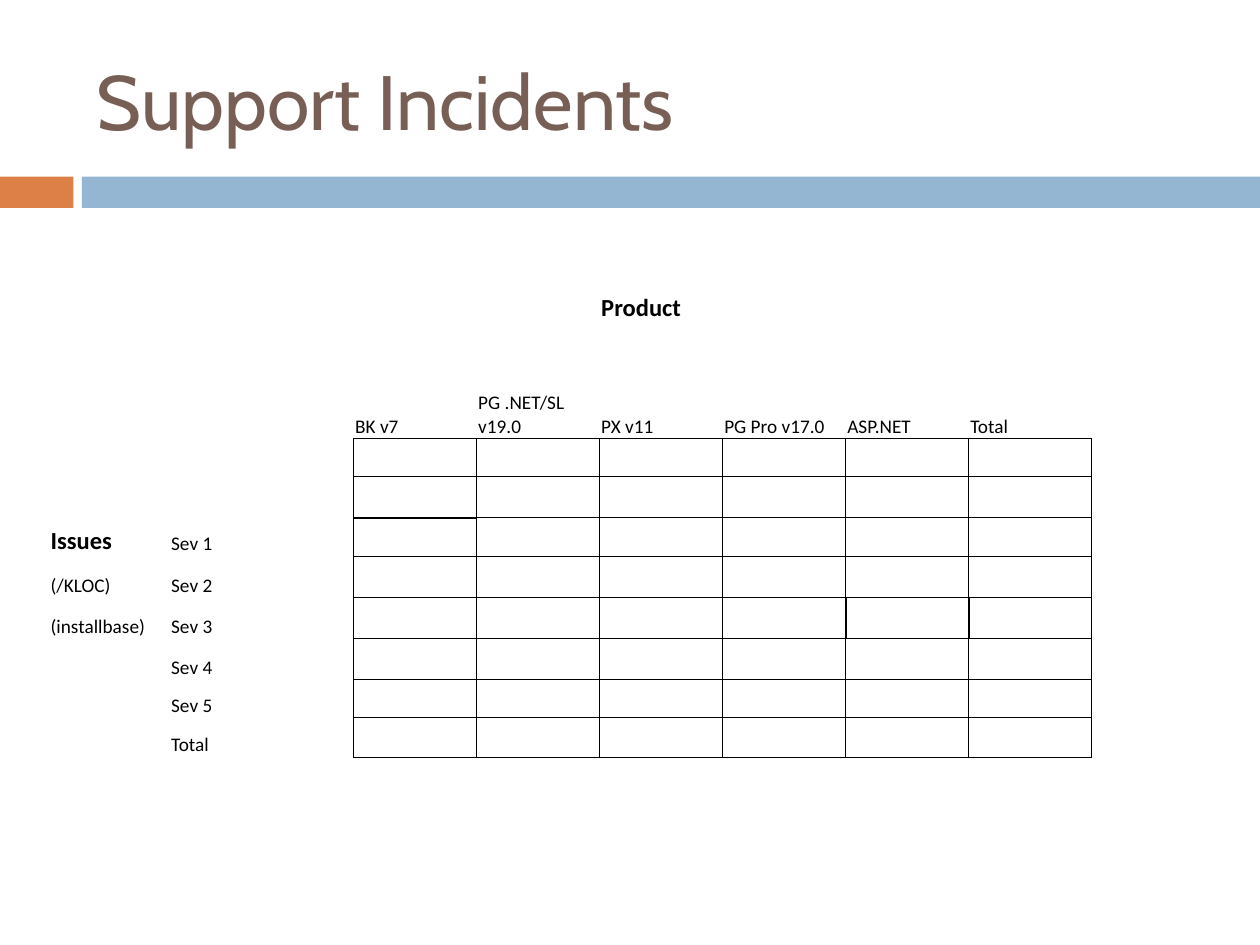
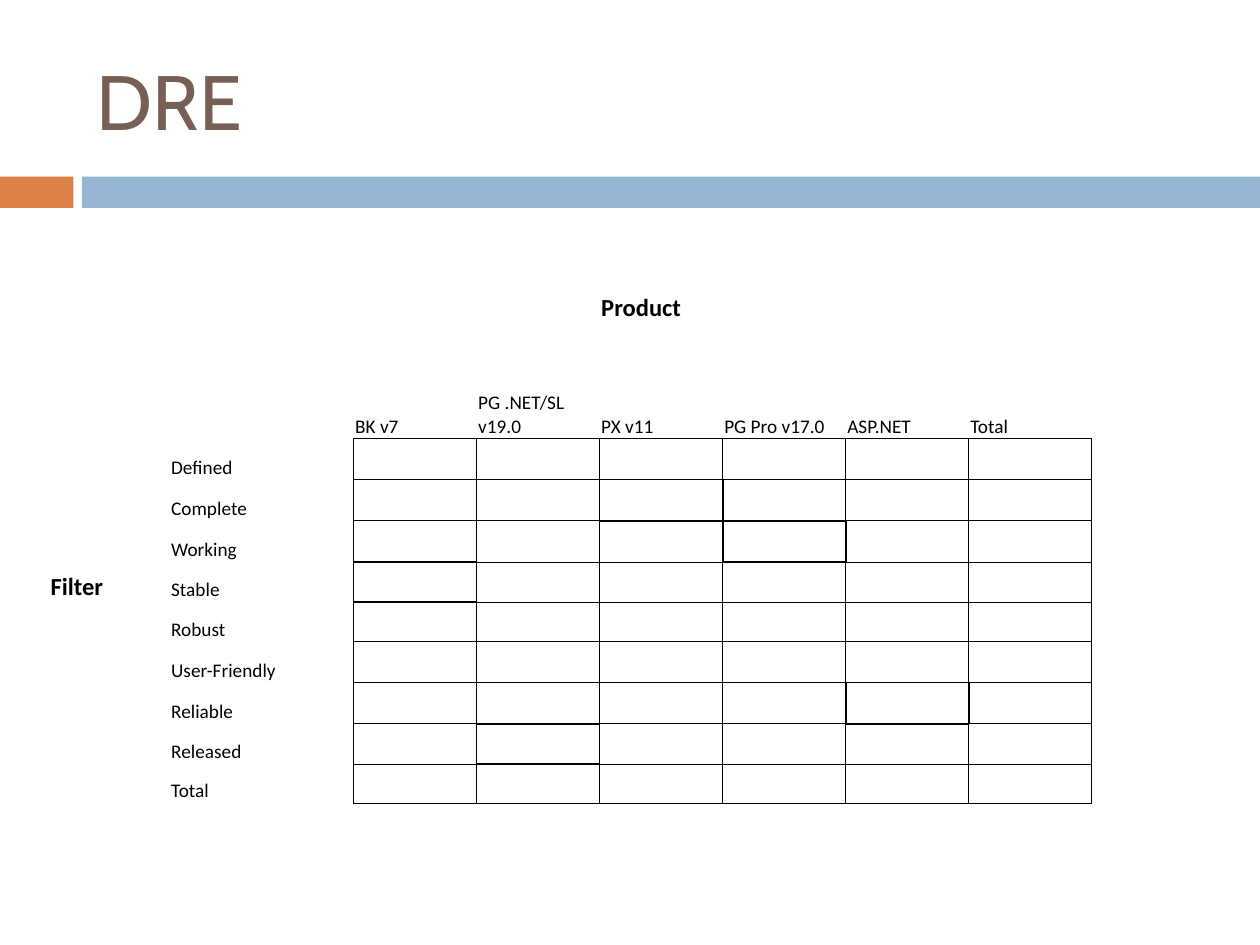
from dataclasses import dataclass

from lxml import etree
from pptx import Presentation
from pptx.dml.color import RGBColor
from pptx.enum import shapes, text
from pptx.oxml import ns
from pptx.util import Cm, Pt


@dataclass(frozen=True)
class Theme:
    title_color: RGBColor = RGBColor(0x77, 0x5F, 0x55)
    accent: RGBColor = RGBColor(0xDD, 0x80, 0x47)
    band: RGBColor = RGBColor(0x94, 0xB6, 0xD2)
    ink: RGBColor = RGBColor(0, 0, 0)
    title_font: str = "Cabin"
    table_font: str = "Calibri"
    title_size: int = 44
    heading_size: int = 14
    label_size: int = 11
    thin: float = 0.5
    thick: float = 1


THEME = Theme()

# Table layout: two label columns, six product columns, one spare column
PRODUCTS = ["BK v7", "PG .NET/SL v19.0", "PX v11", "PG Pro v17.0", "ASP.NET", "Total"]
COLUMN_WIDTHS = [2.43, 3.71] + [2.48] * 7
HEADER_HEIGHTS = [0.79, 0.79, 2.33]
SPARE_HEIGHT = 0.79
FIRST_ROW, FIRST_COL = len(HEADER_HEIGHTS), 2
PRODUCT_HEADING = (1, 4)

# Body rows: (side heading, row label, height in cm)
INCIDENT_ROWS = [
    ("", "", 0.77), ("", "", 0.83),
    ("Issues", "Sev 1", 0.77), ("(/KLOC)", "Sev 2", 0.83),
    ("(installbase)", "Sev 3", 0.83), ("", "Sev 4", 0.83),
    ("", "Sev 5", 0.77), ("", "Total", 0.79),
]
FILTER_ROWS = [
    ("", "Defined", 0.83), ("", "Complete", 0.83), ("", "Working", 0.83),
    ("Filter", "Stable", 0.81), ("", "Robust", 0.79),
    ("", "User-Friendly", 0.83), ("", "Reliable", 0.83),
    ("", "Released", 0.81), ("", "Total", 0.79),
]
SIDE_HEADINGS = {"Issues", "Filter"}


def style_run(run, font, size, color, bold=False):
    run.font.name = font
    run.font.size = Pt(size)
    run.font.color.rgb = color
    run.font.bold = bold


def add_bar(slide, left, width, color):
    bar = slide.shapes.add_shape(
        shapes.MSO_SHAPE.RECTANGLE, Cm(left), Cm(3.56), Cm(width), Cm(0.63))
    bar.shadow.inherit = False
    bar.fill.solid()
    bar.fill.fore_color.rgb = color
    bar.line.fill.background()


def add_title(slide, wording):
    title = slide.shapes.add_textbox(Cm(1.7), Cm(0.64), Cm(22.66), Cm(2.74))
    frame = title.text_frame
    frame.word_wrap = True
    frame.vertical_anchor = text.MSO_ANCHOR.MIDDLE
    frame.text = wording
    style_run(frame.paragraphs[0].runs[0], THEME.title_font,
              THEME.title_size, THEME.title_color)


def add_base_slide(deck, wording):
    slide = deck.slides.add_slide(deck.slide_layouts[6])
    add_bar(slide, 0, 1.48, THEME.accent)
    add_bar(slide, 1.65, 23.75, THEME.band)
    add_title(slide, wording)
    return slide


def cell_edges(row, col):
    """Keys of a cell's four edges; neighbours share the same key."""
    return {"L": ("v", row, col), "R": ("v", row, col + 1),
            "T": ("h", row, col), "B": ("h", row + 1, col)}


def grid_edges(row_count, thick_cells, thick_bottoms):
    """Line width for every edge of the ruled part of the table."""
    edges = {}
    for row in range(row_count):
        for col in range(len(PRODUCTS)):
            for key in cell_edges(row + FIRST_ROW, col + FIRST_COL).values():
                edges[key] = THEME.thin
    for row, col in thick_cells:
        for key in cell_edges(row + FIRST_ROW, col + FIRST_COL).values():
            edges[key] = THEME.thick
    for row, col in thick_bottoms:
        edges[cell_edges(row + FIRST_ROW, col + FIRST_COL)["B"]] = THEME.thick
    return edges


def draw_borders(cell, widths):
    properties = cell._tc.get_or_add_tcPr()
    for position, (side, width) in enumerate(widths.items()):
        line = etree.Element(ns.qn(f"a:ln{side}"), w=str(Pt(width or 0)))
        if width:
            fill = etree.SubElement(line, ns.qn("a:solidFill"))
            etree.SubElement(fill, ns.qn("a:srgbClr"), val=str(THEME.ink))
        else:
            etree.SubElement(line, ns.qn("a:noFill"))
        properties.insert(position, line)


def format_cell(cell, wording, heading):
    cell.fill.background()
    cell.margin_left = cell.margin_right = cell.margin_top = Cm(0.03)
    cell.margin_bottom = 0
    cell.vertical_anchor = text.MSO_ANCHOR.BOTTOM
    paragraph = cell.text_frame.paragraphs[0]
    if wording:
        paragraph.text = wording
        size = THEME.heading_size if heading else THEME.label_size
        style_run(paragraph.runs[0], THEME.table_font, size, THEME.ink, heading)
    else:
        # Keeps empty cells from stretching their row
        etree.SubElement(paragraph._p, ns.qn("a:endParaRPr"),
                         sz=str(THEME.label_size * 100))


def table_wording(rows):
    wording = {PRODUCT_HEADING: "Product"}
    for col, product in enumerate(PRODUCTS, FIRST_COL):
        wording[FIRST_ROW - 1, col] = product
    for row, (side, label, _) in enumerate(rows, FIRST_ROW):
        wording[row, 0] = side
        wording[row, 1] = label
    return wording


def add_product_table(slide, rows, spare_rows, thick_cells, thick_bottoms=()):
    heights = (HEADER_HEIGHTS + [height for _, _, height in rows]
               + [SPARE_HEIGHT] * spare_rows)
    table = slide.shapes.add_table(
        len(heights), len(COLUMN_WIDTHS), Cm(0.99), Cm(4.93),
        Cm(sum(COLUMN_WIDTHS)), Cm(sum(heights))).table
    table.first_row = table.horz_banding = False
    for column, width in zip(table.columns, COLUMN_WIDTHS):
        column.width = Cm(width)
    for table_row, height in zip(table.rows, heights):
        table_row.height = Cm(height)

    wording = table_wording(rows)
    edges = grid_edges(len(rows), thick_cells, thick_bottoms)
    for row in range(len(heights)):
        for col in range(len(COLUMN_WIDTHS)):
            cell = table.cell(row, col)
            words = wording.get((row, col), "")
            heading = (row, col) == PRODUCT_HEADING or words in SIDE_HEADINGS
            format_cell(cell, words, heading)
            draw_borders(cell, {side: edges.get(key) for side, key
                                in cell_edges(row, col).items()})


def main():
    deck = Presentation()
    deck.slide_width, deck.slide_height = Cm(25.4), Cm(19.05)

    # Incidents by severity; thick cells are (body row, product)
    incidents = add_base_slide(deck, "Support Incidents")
    add_product_table(incidents, INCIDENT_ROWS, spare_rows=2,
                      thick_cells=[(1, 0), (4, 4), (5, 1)],
                      thick_bottoms=[(0, 2)])

    # Defect removal by filter
    removal = add_base_slide(deck, "DRE")
    add_product_table(removal, FILTER_ROWS, spare_rows=3,
                      thick_cells=[(1, 2), (2, 3), (3, 0), (6, 4), (7, 1)])

    deck.save("out.pptx")


main()
